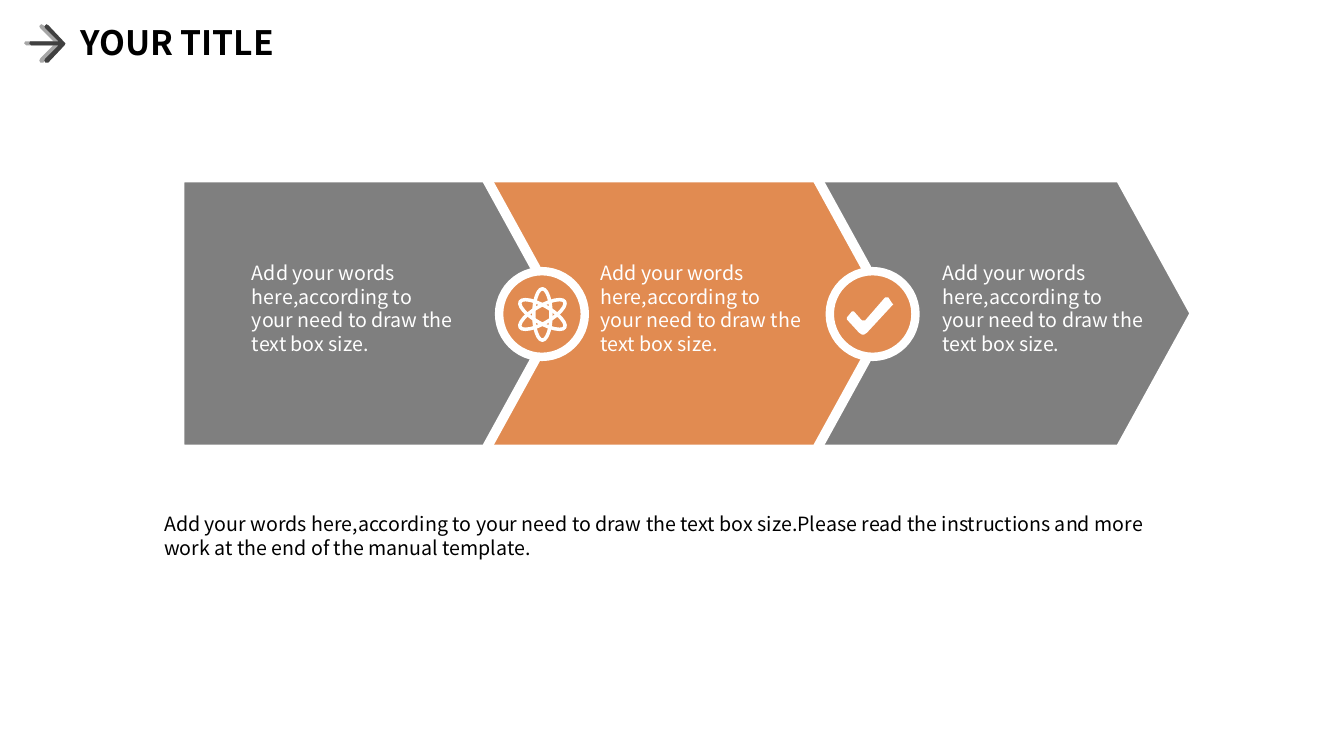
from dataclasses import dataclass

from pptx import Presentation
from pptx.dml.color import RGBColor
from pptx.enum.shapes import MSO_SHAPE
from pptx.enum.text import MSO_AUTO_SIZE
from pptx.util import Inches, Pt

ARROW = MSO_SHAPE.RIGHT_ARROW
OVAL = MSO_SHAPE.OVAL
GROW = MSO_AUTO_SIZE.SHAPE_TO_FIT_TEXT


@dataclass(frozen=True)
class Theme:
    font: str = "Noto Sans CJK SC"
    title_size: int = 24
    body_size: int = 14
    black: str = "000000"
    white: str = "FFFFFF"
    gray: str = "7F7F7F"
    orange: str = "E18B51"
    dark: str = "404040"
    light: str = "A6A6A6"


THEME = Theme()
STEP_TEXT = "Add your words here,according to your need to draw the text box size."
SUMMARY = STEP_TEXT + "Please read the instructions and more work at the end of the manual template."

# Icon outlines in inches; the title arrow starts at its own left edge
TITLE_ARROW = [
    (0.17, 0.24), (0.19, 0.25), (0.35, 0.42), (0.36, 0.43), (0.35, 0.45),
    (0.19, 0.62), (0.17, 0.62), (0.16, 0.62), (0.15, 0.6), (0.16, 0.58),
    (0.29, 0.45), (0.02, 0.45), (0.01, 0.44), (0, 0.43), (0.01, 0.41),
    (0.02, 0.41), (0.29, 0.41), (0.16, 0.28), (0.15, 0.26), (0.16, 0.25),
]
CHECK = [
    (8.4, 3.17), (8.4, 3.15), (8.45, 3.09), (8.47, 3.09), (8.55, 3.18),
    (8.56, 3.18), (8.58, 3.18), (8.78, 2.95), (8.81, 2.95), (8.85, 3.01),
    (8.86, 3.02), (8.85, 3.03), (8.6, 3.3), (8.57, 3.32), (8.55, 3.32),
    (8.52, 3.3),
]


def paint(sp, fill=None, line=None, width=0):
    sp.shadow.inherit = False
    if fill:
        sp.fill.solid()
        sp.fill.fore_color.rgb = RGBColor.from_string(fill)
    else:
        sp.fill.background()
    if line:
        sp.line.color.rgb = RGBColor.from_string(line)
        sp.line.width = Pt(width)
    else:
        sp.line.fill.background()


def add_preset(slide, kind, left, top, width, height, fill, line_width):
    sp = slide.shapes.add_shape(
        kind, Inches(left), Inches(top), Inches(width), Inches(height))
    paint(sp, fill, THEME.white, line_width)
    return sp


def add_outline(slide, points, fill, dx=0):
    points = [(Inches(x + dx), Inches(y)) for x, y in points]
    builder = slide.shapes.build_freeform(*points[0])
    builder.add_line_segments(points[1:], close=True)
    paint(builder.convert_to_shape(), fill)


def add_text(slide, text, left, top, width, height, color,
             size=THEME.body_size, bold=False):
    sp = slide.shapes.add_textbox(
        Inches(left), Inches(top), Inches(width), Inches(height))
    tf = sp.text_frame
    tf.word_wrap = True
    tf.auto_size = GROW
    tf.text = text
    font = tf.paragraphs[0].runs[0].font
    font.name = THEME.font
    font.size = Pt(size)
    font.bold = bold
    font.color.rgb = RGBColor.from_string(color)


def add_step_arrow(slide, left, width, fill):
    sp = add_preset(slide, ARROW, left, 1.76, width, 2.7, fill, 7)
    sp.adjustments[0] = 1
    sp.adjustments[1] = 0.275


def add_atom(slide, cx, cy, width=0.17, height=0.51):
    for angle in (0, 60, 120):
        orbit = add_preset(slide, OVAL, cx - width / 2, cy - height / 2,
                           width, height, None, 2.5)
        orbit.rotation = angle


def main():
    prs = Presentation()
    prs.slide_width, prs.slide_height = Inches(13.33), Inches(7.5)
    slide = prs.slides.add_slide(prs.slide_layouts[6])

    # Title with its doubled arrow
    add_text(slide, "YOUR TITLE", 0.7, 0.17, 3, 0.5, THEME.black,
             THEME.title_size, bold=True)
    for left, color in ((0.24, THEME.light), (0.29, THEME.dark)):
        add_outline(slide, TITLE_ARROW, color, left)

    # Step arrows, each overlapping the one to its right
    for left, width, fill in ((8.07, 3.78, THEME.gray),
                              (4.65, 4.19, THEME.orange),
                              (1.78, 3.78, THEME.gray)):
        add_step_arrow(slide, left, width, fill)

    # Badges on the joints
    for left in (4.95, 8.23):
        add_preset(slide, OVAL, left, 2.69, 0.85, 0.85, THEME.orange, 6)
    add_atom(slide, 5.38, 3.12)
    add_outline(slide, CHECK, THEME.white)

    # Step texts and summary
    for left in (2.4, 5.86, 9.25):
        add_text(slide, STEP_TEXT, left, 2.54, 2.21, 1.04, THEME.white)
    add_text(slide, SUMMARY, 1.53, 5.03, 10.2, 1.16, THEME.black)

    prs.save("out.pptx")


if __name__ == "__main__":
    main()
